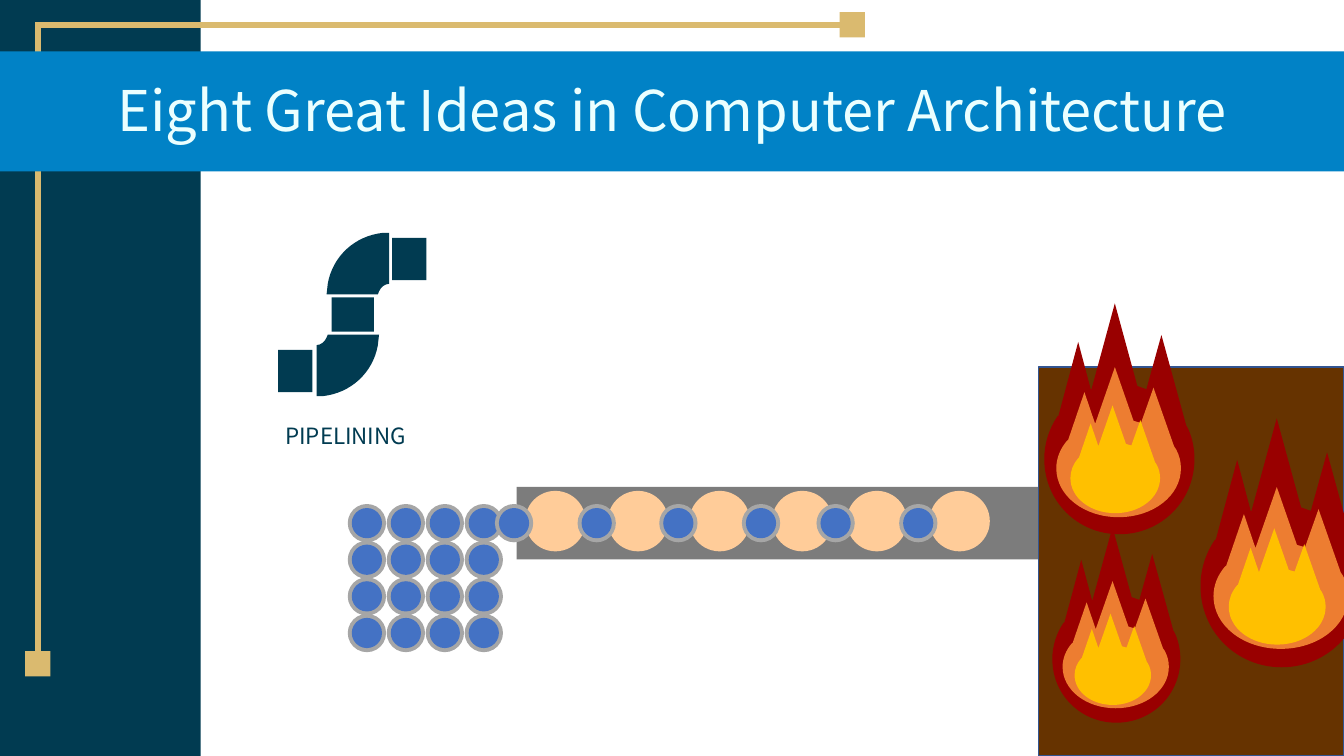
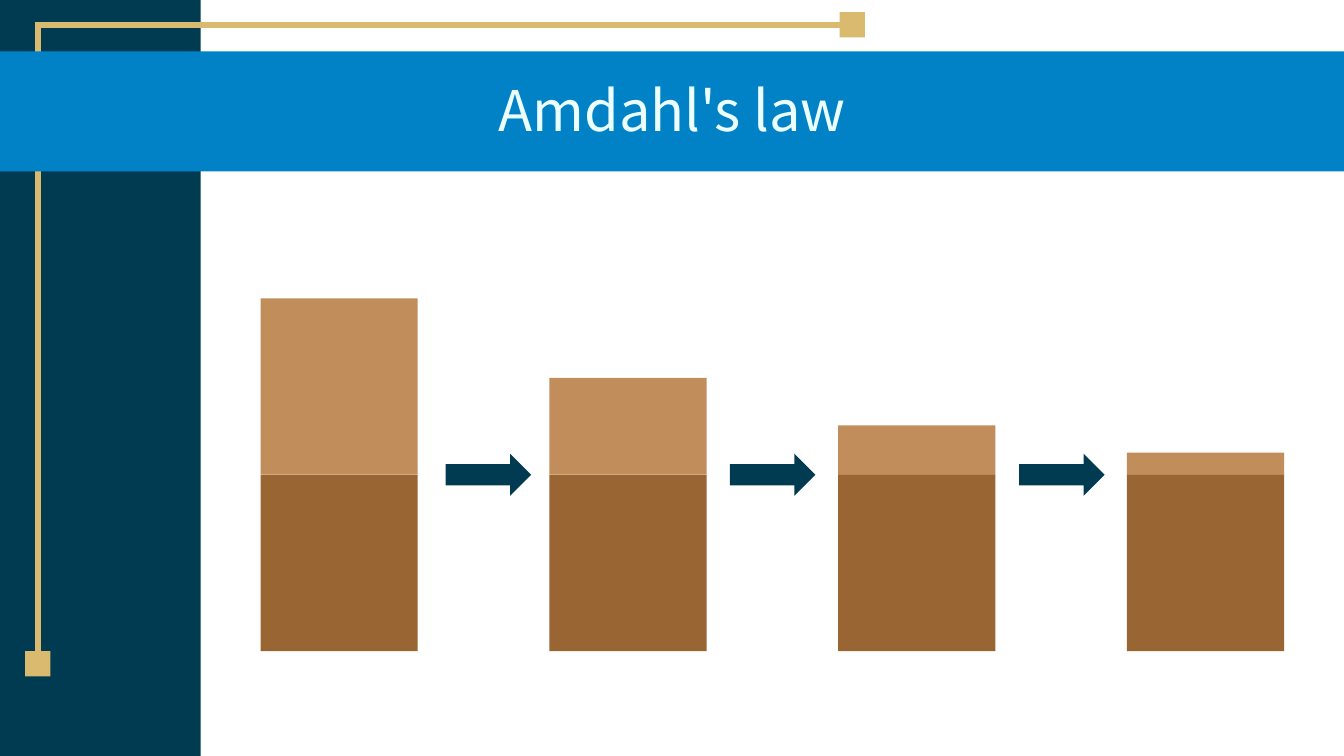
"""Build two slides on pipelining and Amdahl's law."""
from pptx import Presentation
from pptx.dml.color import RGBColor
from pptx.enum.shapes import MSO_CONNECTOR, MSO_SHAPE
from pptx.enum.text import MSO_ANCHOR, PP_ALIGN
from pptx.oxml.ns import qn
from pptx.oxml.xmlchemy import OxmlElement
from pptx.util import Inches, Pt

NAVY = RGBColor(0x01, 0x3B, 0x51)
GOLD = RGBColor(0xDA, 0xBA, 0x6F)
BLUE = RGBColor(0x01, 0x82, 0xC6)
ICE = RGBColor(0xEB, 0xFF, 0xFF)
GREY = RGBColor(0x7C, 0x7C, 0x7C)
SILVER = RGBColor(0xA6, 0xA6, 0xA6)
BALL = RGBColor(0x44, 0x72, 0xC4)
PEACH = RGBColor(0xFF, 0xCC, 0x99)
OVEN = RGBColor(0x66, 0x33, 0x00)
EDGE = RGBColor(0x32, 0x54, 0x91)
RED = RGBColor(0x99, 0x00, 0x00)
ORANGE = RGBColor(0xED, 0x7D, 0x31)
YELLOW = RGBColor(0xFF, 0xC0, 0x00)
TAN = RGBColor(0xC1, 0x8E, 0x5B)
BROWN = RGBColor(0x99, 0x66, 0x33)

CELL = Inches(0.01)
WIDE, HIGH = 4000 / 3, 750
FONT = "Noto Sans CJK KR"

TITLES = ("Eight Great Ideas in Computer Architecture", "Amdahl's law")
LABEL = "PIPELINING"

RAILS = ((37.5, 646, 37.5, 22), (833, 25, 37, 25))
KNOBS = ((833, 12), (25, 646))
PIPES = ((329, 295, 42, 34), (389, 236, 34, 42), (276, 347, 34, 42))
BENDS = ((324, 231, 62, 61), (376, 393, -62, -61))
BEND = ((100, 0), (100, 83), (93.5, 83, 87, 88, 84, 95), (82, 100),
        (0, 100), (2, 82), (10, 38, 45, 5, 90, 0))

STACK, SIDE = (345, 500, 461, 609), 4
BELT = (512.5, 483, 517.5, 72)
QUEUE = (491, 573, 654, 736, 810, 892)
STOVE = (1030, 364, WIDE - 1030, 386)
FIRES = ((1036, 301, 149, 229), (1191, 415, 161, 247), (1044, 523, 127, 194))
LAYERS = ((RED, 0, 0, 100, 100), (ORANGE, 8, 27.6, 83, 65),
          (YELLOW, 17.4, 44.2, 59.7, 46.7))
FLAME = ((47, 0), (62, 35.8), (68, 37.2), (78, 13.7), (94.5, 52.8),
         (96, 54.6), (98.7, 58.6, 100, 63, 100, 67.4),
         (100, 85.8, 77.6, 100, 50, 100), (22.4, 100, 0, 85.8, 0, 67.4),
         (0, 60.7, 3.2, 54.3, 8.7, 49), (9.5, 48.6), (22.6, 16.7),
         (31, 37.3), (31.4, 37.3))

BARS = (175, 96, 49, 22)
FIRST, LAST, THICK, LEVEL, BASE = 258.5, 1118, 156, 471, 175
ARROWS = (442, 724, 1011)


def paint(item, fill, edge=None):
    item.shadow.inherit = False
    item.fill.solid()
    item.fill.fore_color.rgb = fill
    if edge:
        item.line.color.rgb = edge
        item.line.width = Pt(1)
    else:
        item.line.fill.background()


def scale(values):
    return [round(v * CELL) for v in values]


def shape(slide, box, fill, kind=MSO_SHAPE.RECTANGLE, edge=None):
    paint(slide.shapes.add_shape(kind, *scale(box)), fill, edge)


def rail(slide, ends):
    item = slide.shapes.add_connector(MSO_CONNECTOR.STRAIGHT, *scale(ends))
    item.line.color.rgb = GOLD
    item.line.width = Pt(4.5)
    item.element.spPr.append(OxmlElement("a:effectLst"))


def text(slide, words, box, size=16, color=NAVY, anchor=MSO_ANCHOR.TOP, before=0):
    frame = slide.shapes.add_textbox(*scale(box)).text_frame
    frame.word_wrap = True
    frame.vertical_anchor = anchor
    para = frame.paragraphs[0]
    para.alignment = PP_ALIGN.CENTER
    para.line_spacing = 0.9
    para.space_before = Pt(before)
    run = para.add_run()
    run.text = words
    run.font.name = FONT
    run.font.size = Pt(size)
    run.font.color.rgb = color


def curve(item, steps):
    lines = iter(item.element.findall(".//" + qn("a:lnTo")))
    for step in steps[1:]:
        first = next(lines)
        if len(step) == 6:
            bend = OxmlElement("a:cubicBezTo")
            first.addprevious(bend)
            for line in (first, next(lines), next(lines)):
                bend.append(line[0])
                line.getparent().remove(line)


def outline(slide, steps, box, fill):
    left, top, width, height = box
    dots = [scale((left + step[i] * width / 100, top + step[i + 1] * height / 100))
            for step in steps for i in range(0, len(step), 2)]
    pen = slide.shapes.build_freeform(*dots[0])
    pen.add_line_segments(dots[1:], close=True)
    item = pen.convert_to_shape()
    curve(item, steps)
    paint(item, fill)


def disc(slide, x, y, size, fill):
    shape(slide, (x, y, size, size), fill, MSO_SHAPE.OVAL)


def ball(slide, x, y):
    disc(slide, x, y, 38, SILVER)
    disc(slide, x + 4, y + 4, 30, BALL)


def start(deck, title):
    slide = deck.slides.add_slide(deck.slide_layouts[6])
    shape(slide, (0, 0, 199, HIGH), NAVY)
    for ends in RAILS:
        rail(slide, ends)
    for spot in KNOBS:
        shape(slide, (*spot, 25, 25), GOLD)
    shape(slide, (0, 51, WIDE, 119), BLUE)
    text(slide, title, (10, 65.5, 1314, 82), size=40, color=ICE,
         anchor=MSO_ANCHOR.BOTTOM)
    return slide


def pipeline(slide):
    for box in BENDS:
        outline(slide, BEND, box, NAVY)
    for box in PIPES:
        shape(slide, box, NAVY)
    text(slide, LABEL, (208, 416.5, 270, 36), before=10)
    left, top, right, low = STACK
    for row in range(SIDE):
        for col in range(SIDE):
            ball(slide, left + col * (right - left) / (SIDE - 1),
                 top + row * (low - top) / (SIDE - 1))
    shape(slide, BELT, GREY)
    for x in QUEUE:
        disc(slide, x + 30, 487, 60, PEACH)
        ball(slide, x, top)
    shape(slide, STOVE, OVEN, edge=EDGE)
    for left, top, width, height in FIRES:
        for fill, x, y, w, h in LAYERS:
            box = (left + x * width / 100, top + y * height / 100,
                   w * width / 100, h * height / 100)
            outline(slide, FLAME, box, fill)


def amdahl(slide):
    pitch = (LAST - FIRST) / (len(BARS) - 1)
    for i, height in enumerate(BARS):
        x = FIRST + i * pitch
        shape(slide, (x, LEVEL - height, THICK, height), TAN)
        shape(slide, (x, LEVEL, THICK, BASE), BROWN)
    for x in ARROWS:
        shape(slide, (x, LEVEL - 21, 85, 42), NAVY, MSO_SHAPE.RIGHT_ARROW)


deck = Presentation()
deck.slide_width, deck.slide_height = scale((WIDE, HIGH))
for title, draw in zip(TITLES, (pipeline, amdahl)):
    draw(start(deck, title))
deck.save("out.pptx")
